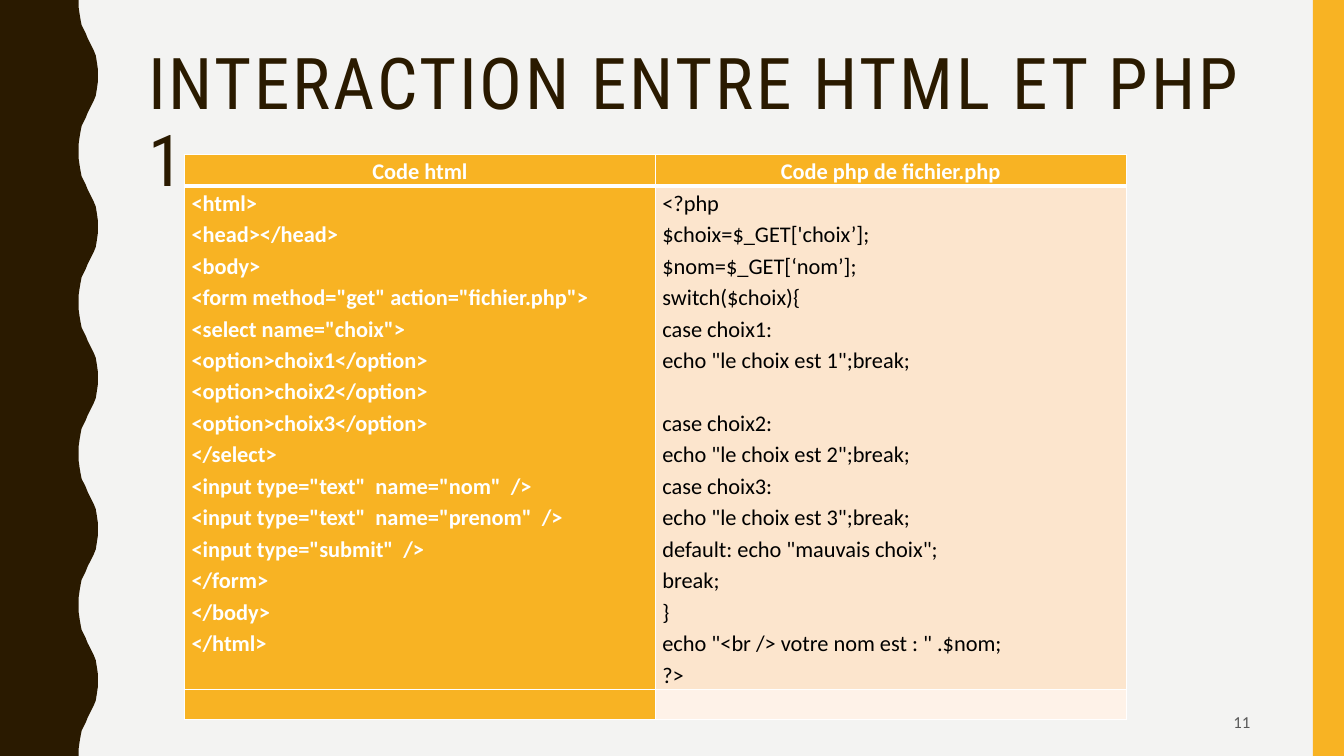
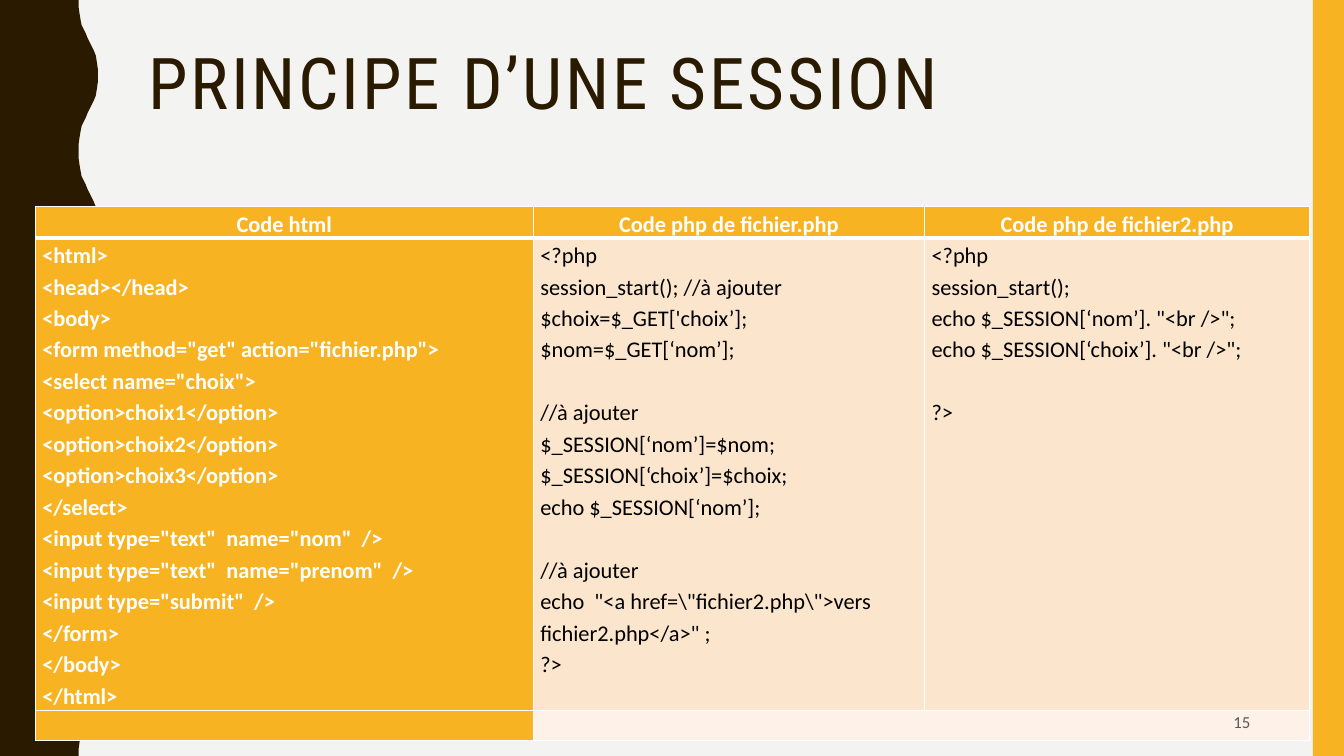
from lxml.etree import SubElement
from pptx import Presentation
from pptx.dml.color import RGBColor
from pptx.enum.shapes import MSO_SHAPE as SHAPE
from pptx.enum.text import MSO_ANCHOR as ANCHOR, MSO_AUTO_SIZE as AUTO, PP_ALIGN as ALIGN
from pptx.oxml.ns import qn
from pptx.util import Pt

PX = 9144  # EMU per px, 100 px to the inch
W, H = 1333, 750
C = {"paper": "F3F3F2", "brown": "2A1A00", "gold": "F8B323", "peach": "FCE5CD",
     "cream": "FEF2E8", "white": "FFFFFF", "black": "000000", "grey": "595959"}
LINE = 22.5  # height of one code line in points

HTML = """<html>
<head></head>
<body>
<form method="get" action="fichier.php">
<select name="choix">
<option>choix1</option>
<option>choix2</option>
<option>choix3</option>
</select>
<input type="text"  name="nom"  />
<input type="text"  name="prenom"  />
<input type="submit"  />
</form>
</body>
</html>"""

SWITCH = """<?php
$choix=$_GET['choix’];
$nom=$_GET[‘nom’];
switch($choix){
case choix1:
echo "le choix est 1";break;

case choix2:
echo "le choix est 2";break;
case choix3:
echo "le choix est 3";break;
default: echo "mauvais choix";
break;
}
echo "<br /> votre nom est : " .$nom;
?>"""

SESSION = r"""<?php
session_start(); //à ajouter
$choix=$_GET['choix’];
$nom=$_GET[‘nom’];

//à ajouter
$_SESSION[‘nom’]=$nom;
$_SESSION[‘choix’]=$choix;
echo $_SESSION[‘nom’];

//à ajouter
echo  "<a href=\"fichier2.php\">vers fichier2.php</a>" ;
?>"""

SESSION2 = """<?php
session_start();
echo $_SESSION[‘nom’]. "<br />";
echo $_SESSION[‘choix’]. "<br />";

?>"""

# title, page number, table box, column widths, (heading, code) per column
SLIDES = [
    ("INTERACTION ENTRE HTML ET PHP 1", "11", (183, 153, 935, 550), (467, 467),
     [("Code html", HTML), ("Code php de fichier.php", SWITCH)]),
    ("PRINCIPE D’UNE SESSION", "15", (35, 205, 1264, 519), (494, 388, 382),
     [("Code html", HTML), ("Code php de fichier.php", SESSION),
      ("Code php de fichier2.php", SESSION2)]),
]


def style(p, font, size, color, bold=False):
    for r in p.runs:
        r.font.name, r.font.size, r.font.bold = font, Pt(size), bold
        r.font.color.rgb = RGBColor.from_string(C[color])


def fill_cell(cell, text, fill, color, bold, align, bottom):
    cell.margin_left = cell.margin_right = 7 * PX
    cell.margin_top = cell.margin_bottom = 0
    # Borders go before the fill in the cell properties
    tcPr = cell._tc.get_or_add_tcPr()
    for side, width in (("L", 1), ("R", 1), ("T", 1), ("B", bottom)):
        ln = SubElement(tcPr, qn(f"a:ln{side}"), w=str(Pt(width)))
        SubElement(SubElement(ln, qn("a:solidFill")), qn("a:srgbClr"), val=C["white"])
    cell.fill.solid()
    cell.fill.fore_color.rgb = RGBColor.from_string(C[fill])
    # An empty code line becomes space before the next one
    tf, gap, first = cell.text_frame, False, True
    for line in text.split("\n"):
        if text and not line:
            gap = True
            continue
        p = tf.paragraphs[0] if first else tf.add_paragraph()
        p.text, p.alignment, p.line_spacing = line, align, 1.15
        if gap:
            p.space_before = Pt(LINE)
        style(p, "Calibri", 16, color, bold)
        gap = first = False
    if not text:
        SubElement(tf.paragraphs[0]._p, qn("a:endParaRPr"), sz="1600")


prs = Presentation()
prs.slide_width, prs.slide_height = W * PX, H * PX
layout = prs.slide_layouts[5]
bg = prs.slide_master.background.fill
bg.solid()
bg.fore_color.rgb = RGBColor.from_string(C["paper"])

# Wavy edge: half a wave as (x, y), mirrored and repeated down the slide
half = [(78, 0), (78, 7), (79, 14), (80, 20), (81, 25), (83, 29), (85, 33), (87, 38),
        (89, 42), (91, 46), (93, 50), (95, 55), (96, 61), (97, 68), (97, 75)]
wave = half + [(x, 150 - y) for x, y in half[-2::-1]]
edge = [(x, y + top) for top in range(0, H, 150) for x, y in wave]

for number, (title, page, box, widths, columns) in enumerate(SLIDES):
    s = prs.slides.add_slide(layout)

    # Side bands, drawn once and kept in the layout
    if number == 0:
        ff = s.shapes.build_freeform(0, 0, scale=PX)
        ff.add_line_segments(edge + [(0, H)], close=True)
        band = ff.convert_to_shape()
        bar = s.shapes.add_shape(SHAPE.RECTANGLE, 1302 * PX, 0, 31 * PX, H * PX)
        for i, (sp, color) in enumerate(((band, "brown"), (bar, "gold"))):
            sp.shadow.inherit = False
            sp.fill.solid()
            sp.fill.fore_color.rgb = RGBColor.from_string(C[color])
            sp.line.fill.background()
            sp.element.nvSpPr.cNvPr.set("id", str(20 + i))
            layout.shapes.element.insert(2 + i, sp.element)

    # Title
    sp = s.shapes.title
    sp.left, sp.top, sp.width, sp.height = (n * PX for n in (137, 42, 1113, 163))
    tf = sp.text_frame
    tf.text = title
    tf.word_wrap, tf.auto_size, tf.vertical_anchor = True, AUTO.NONE, ANCHOR.TOP
    p = tf.paragraphs[0]
    p.alignment, p.line_spacing = ALIGN.LEFT, 0.9
    style(p, "Roboto Condensed", 51, "brown")
    p.runs[0].font._element.set("spc", "200")

    # Code table
    table = s.shapes.add_table(3, len(widths), *(n * PX for n in box)).table
    for row, height in zip(table.rows, (30, box[3] - 60, 30)):
        row.height = height * PX
    for c, (heading, code) in enumerate(columns):
        table.columns[c].width = widths[c] * PX
        body, foot, ink = ("peach", "cream", "black") if c else ("gold", "gold", "white")
        fill_cell(table.cell(0, c), heading, "gold", "white", True, ALIGN.CENTER, 3)
        fill_cell(table.cell(1, c), code, body, ink, c == 0, ALIGN.LEFT, 1)
        fill_cell(table.cell(2, c), "", foot, ink, False, ALIGN.LEFT, 1)
    if len(widths) > 2:
        table.cell(2, 1).merge(table.cell(2, len(widths) - 1))

    # Page number
    tf = s.shapes.add_textbox(942 * PX, 697 * PX, 308 * PX, 38 * PX).text_frame
    tf.text = page
    tf.word_wrap, tf.vertical_anchor = True, ANCHOR.MIDDLE
    tf.paragraphs[0].alignment = ALIGN.RIGHT
    style(tf.paragraphs[0], "Calibri", 12, "grey")

prs.save("out.pptx")
